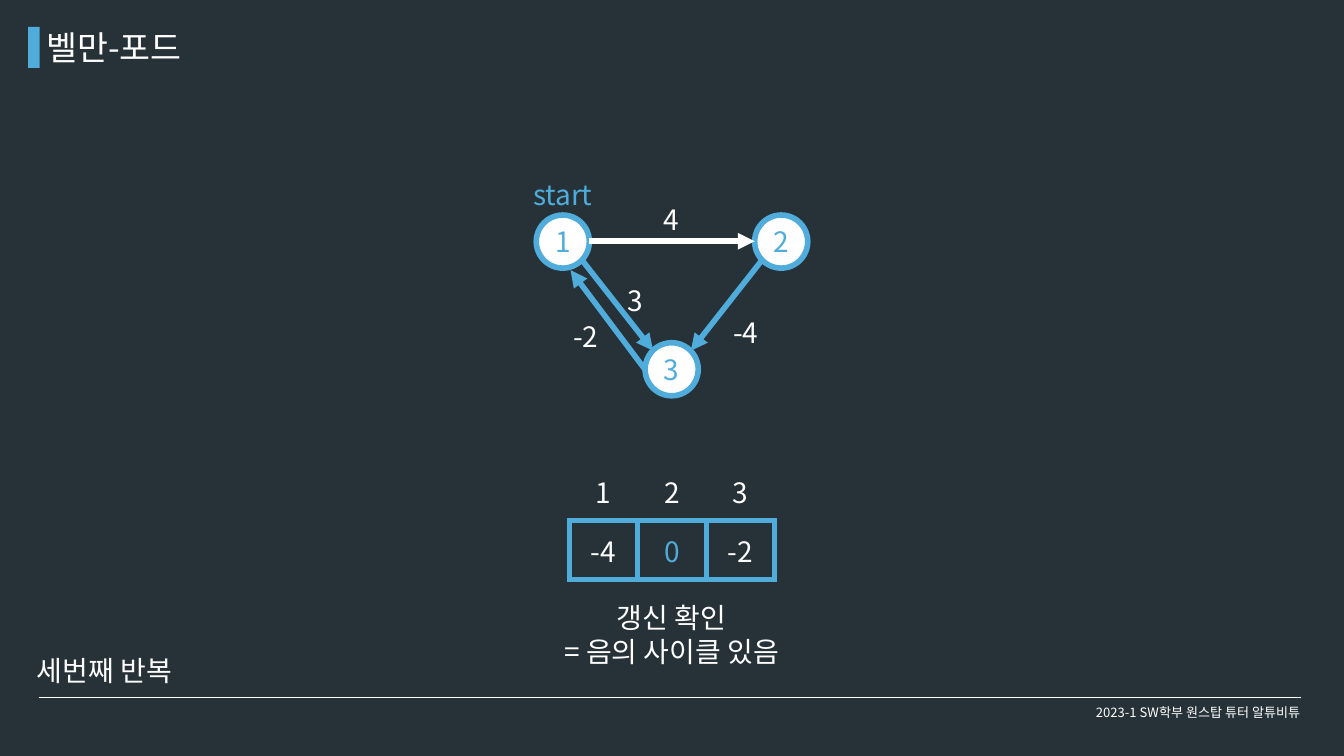
import pptx
import pptx.dml.color
import pptx.enum.shapes
import pptx.enum.text
import pptx.oxml
import pptx.oxml.ns
import pptx.util

PX = 9144
FONT = "Noto Sans CJK KR"
COLORS = {"bg": "263238", "blue": "4FACDB", "white": "FFFFFF"}
ALIGN = pptx.enum.text.PP_ALIGN
ANCHOR = pptx.enum.text.MSO_ANCHOR
SHAPE = pptx.enum.shapes.MSO_SHAPE
NODE = 79


def px(*values):
    return [pptx.util.Emu(v * PX) for v in values]


def rgb(name):
    return pptx.dml.color.RGBColor.from_string(COLORS[name])


def xml(tag, body=""):
    ns = pptx.oxml.ns.nsdecls("a")
    name = tag.split()[0]
    return pptx.oxml.parse_xml(f"<a:{tag} {ns}>{body}</a:{name}>")


def set_text(tf, text, color="white", size=30, align=ALIGN.LEFT):
    tf.text = text
    for p in tf.paragraphs:
        p.alignment = align
        for r in p.runs:
            r.font.size = pptx.util.Pt(size)
            r.font.name = FONT
            r.font.color.rgb = rgb(color)
            r.font._element.find(pptx.oxml.ns.qn("a:latin")).addnext(
                xml(f'ea typeface="{FONT}"'))


def add_text(slide, box, text, wrap=True, anchor=ANCHOR.TOP, **style):
    tf = slide.shapes.add_textbox(*px(*box)).text_frame
    tf.word_wrap = wrap
    tf.vertical_anchor = anchor
    set_text(tf, text, **style)


def add_shape(slide, kind, box, fill):
    sp = slide.shapes.add_shape(kind, *px(*box))
    sp.shadow.inherit = False
    sp.fill.solid()
    sp.fill.fore_color.rgb = rgb(fill)
    sp.line.fill.background()
    return sp


def add_node(slide, x, y, label):
    sp = add_shape(slide, SHAPE.OVAL, (x, y, NODE, NODE), "white")
    sp.line.color.rgb = rgb("blue")
    sp.line.width = pptx.util.Pt(6)
    sp.text_frame.vertical_anchor = ANCHOR.MIDDLE
    set_text(sp.text_frame, label, "blue", align=ALIGN.CENTER)


def add_line(slide, points, color="white", width=6, arrow=True):
    line = slide.shapes.add_connector(
        pptx.enum.shapes.MSO_CONNECTOR.STRAIGHT, *px(*points))
    line.line.color.rgb = rgb(color)
    line.line.width = pptx.util.Pt(width)
    if arrow:
        line.line._get_or_add_ln().append(xml('tailEnd type="triangle"'))
    line._element.spPr.append(xml("effectLst"))


def add_row(slide, y, values, border=None):
    frame = slide.shapes.add_table(1, len(values), *px(847, y, 306, 87))
    table = frame.table
    table.first_row = table.horz_banding = False
    line = "<a:noFill/>"
    if border:
        line = f'<a:solidFill><a:srgbClr val="{COLORS[border]}"/></a:solidFill>'
    for cell, (text, color) in zip(table.rows[0].cells, values):
        set_text(cell.text_frame, text, color, align=ALIGN.CENTER)
        cell.vertical_anchor = ANCHOR.MIDDLE
        for side in "LRTB":
            cell._tc.get_or_add_tcPr().append(
                xml(f'ln{side} w="{pptx.util.Pt(6)}"', line))
        cell.fill.background()


def add_graph(slide):
    for x, y, label in ((798, 320, "1"), (1123, 320, "2"), (960, 510, "3")):
        add_node(slide, x, y, label)
    edges = (
        ((877, 359, 1123, 359), "white", "4", (977, 296, 46, 61)),
        ((866, 387, 972, 522), "blue", "3", (924, 417, 46, 61)),
        ((1134, 387, 1028, 522), "blue", "-4", (1081, 464, 64, 61)),
        ((960, 550, 849, 402), "blue", "-2", (843, 470, 64, 61)),
    )
    for points, color, weight, box in edges:
        add_line(slide, points, color)
        add_text(slide, box, weight, wrap=False)
    add_text(slide, (743, 259, 189, 61), "start", color="blue", align=ALIGN.CENTER)


def main():
    """Build the Bellman-Ford negative cycle slide."""
    prs = pptx.Presentation()
    prs.slide_width, prs.slide_height = px(2000, 1125)
    slide = prs.slides.add_slide(prs.slide_layouts[6])
    slide.background.fill.solid()
    slide.background.fill.fore_color.rgb = rgb("bg")

    add_line(slide, (58, 1038, 1936, 1038), width=0.75, arrow=False)
    add_shape(slide, SHAPE.RECTANGLE, (42, 40, 17, 61), "blue")
    add_text(slide, (59, 35, 950, 71), "벨만-포드", size=36)
    add_graph(slide)
    add_row(slide, 775, [("-4", "white"), ("0", "blue"), ("-2", "white")], "blue")
    add_row(slide, 688, [(n, "white") for n in "123"])
    add_text(slide, (45, 967, 1144, 61), "세번째 반복")
    add_text(slide, (626, 889, 747, 111), "갱신 확인\n= 음의 사이클 있음",
             align=ALIGN.CENTER)
    add_text(slide, (1583, 1031, 400, 57), "2023-1 SW학부 원스탑 튜터 알튜비튜",
             anchor=ANCHOR.MIDDLE, size=14, align=ALIGN.CENTER)
    prs.save("out.pptx")


if __name__ == "__main__":
    main()
